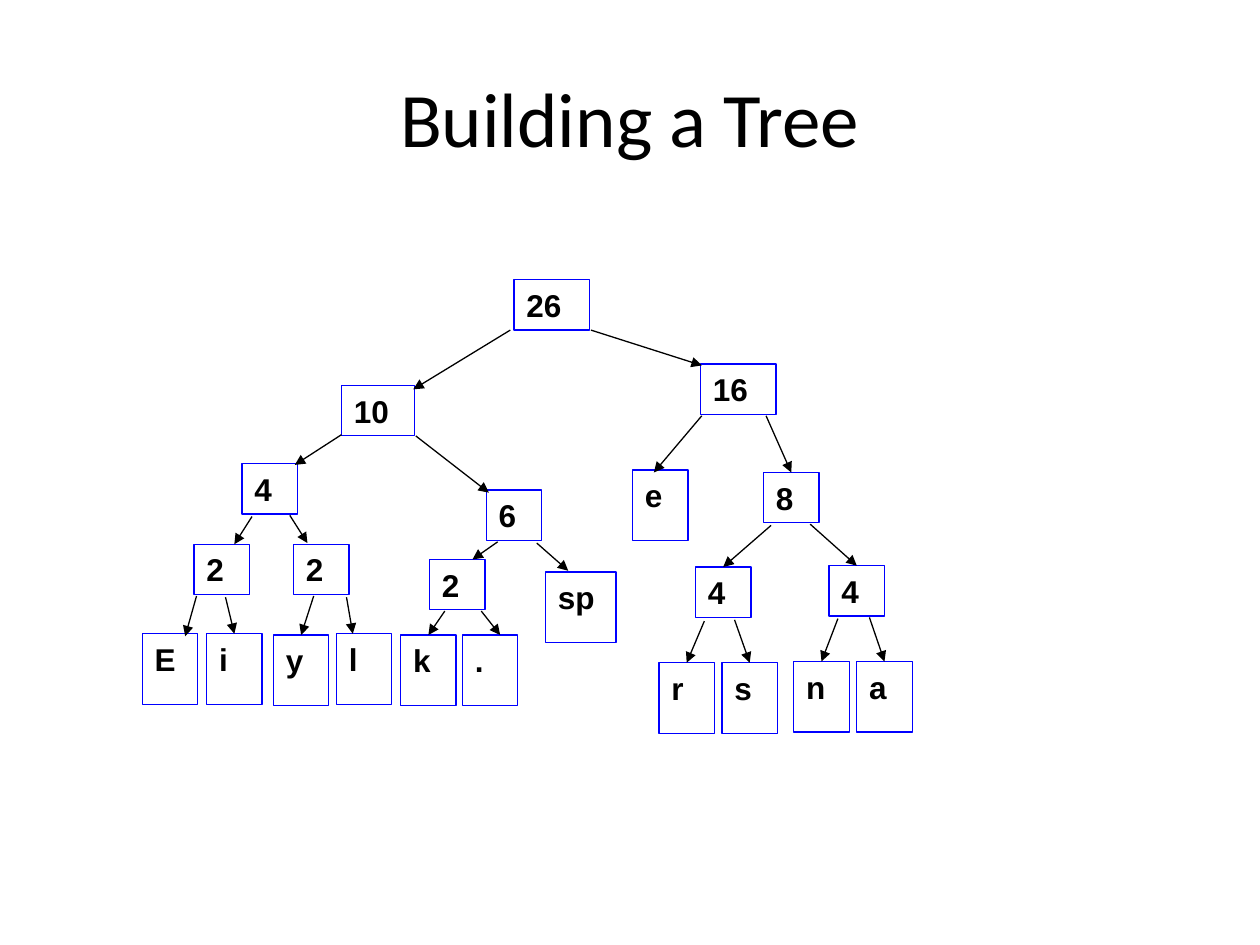
from lxml.etree import SubElement
from pptx import Presentation
from pptx.dml.color import RGBColor
from pptx.enum.shapes import MSO_CONNECTOR, MSO_SHAPE
from pptx.enum.text import MSO_ANCHOR, PP_ALIGN
from pptx.oxml.ns import qn
from pptx.util import Inches, Pt

TITLE_ONLY = 5
TOP_SIDE = 0
COUNT_HEIGHT, LETTER_HEIGHT = 0.4, 0.56
NARROW = 0.44

# Root node: text, left, top, width, height
ROOT = ("26", 4.08, 2.22, 0.6, COUNT_HEIGHT)

# Each child: text, left, top, width, arrow start, arrow end
# (an arrow without an end joins the middle of the child's top side)
COUNTS = [
    ("10", 2.71, 3.06, 0.58, (4.05, 2.62), (3.28, 3.09)),
    ("16", 5.56, 2.89, 0.6, (4.69, 2.62), (5.57, 2.9)),
    ("4", 1.92, 3.68, NARROW, (2.71, 3.45), (2.34, 3.69)),
    ("6", 3.86, 3.89, NARROW, (3.3, 3.46), (3.88, 3.91)),
    ("8", 6.06, 3.75, NARROW, (6.08, 3.3), None),
    ("2", 1.54, 4.32, NARROW, (2, 4.1), (1.86, 4.32)),
    ("2", 2.33, 4.32, NARROW, (2.3, 4.09), (2.44, 4.31)),
    ("2", 3.41, 4.44, NARROW, (3.95, 4.3), (3.75, 4.44)),
    ("4", 5.52, 4.5, NARROW, (6.12, 4.17), None),
    ("4", 6.58, 4.49, NARROW, (6.43, 4.16), None),
]
LETTERS = [
    ("E", 1.13, 5.03, NARROW, (1.56, 4.73), (1.47, 5.05)),
    ("i", 1.64, 5.03, NARROW, (1.79, 4.74), None),
    ("y", 2.17, 5.04, NARROW, (2.49, 4.73), None),
    ("l", 2.67, 5.03, NARROW, (2.75, 4.74), (2.8, 5.03)),
    ("k", 3.18, 5.04, NARROW, (3.53, 4.85), None),
    (".", 3.67, 5.04, NARROW, (3.82, 4.85), (3.97, 5.04)),
    ("sp", 4.33, 4.54, 0.56, (4.26, 4.31), (4.51, 4.53)),
    ("e", 5.02, 3.73, NARROW, (5.57, 3.3), (5.19, 3.75)),
    ("r", 5.23, 5.26, NARROW, (5.59, 4.93), None),
    ("s", 5.73, 5.26, NARROW, (5.83, 4.92), None),
    ("n", 6.3, 5.25, NARROW, (6.65, 4.91), None),
    ("a", 6.8, 5.25, NARROW, (6.9, 4.9), None),
]


def color(hex_value):
    return RGBColor.from_string(hex_value)


def set_formats(target, formats):
    for name, value in formats.items():
        setattr(target, name, value)


class TreeSlide:
    ink, border = "000000", "0000FF"
    line_width = Pt(0.75)
    title_font = {"name": "Calibri", "size": Pt(44)}
    node_font = {"name": "Arial", "size": Pt(18), "bold": True}
    node_frame = {"word_wrap": True, "vertical_anchor": MSO_ANCHOR.TOP}

    def __init__(self, slide):
        self.slide = slide

    def put_text(self, frame, text, font, alignment):
        frame.text = text
        paragraph = frame.paragraphs[0]
        paragraph.alignment = alignment
        set_formats(paragraph.font, font)
        paragraph.font.color.rgb = color(self.ink)

    def draw_line(self, line, hex_value):
        line.color.rgb = color(hex_value)
        line.width = self.line_width

    def title(self, text):
        heading = self.slide.shapes.title
        set_formats(heading, {"left": Inches(0.5), "top": Inches(0.3),
                              "width": Inches(9), "height": Inches(1.25)})
        heading.text_frame.vertical_anchor = MSO_ANCHOR.MIDDLE
        self.put_text(heading.text_frame, text, self.title_font, PP_ALIGN.CENTER)

    def node(self, text, *box):
        node = self.slide.shapes.add_shape(MSO_SHAPE.RECTANGLE, *map(Inches, box))
        node.shadow.inherit = False
        node.fill.background()
        self.draw_line(node.line, self.border)
        set_formats(node.text_frame, self.node_frame)
        self.put_text(node.text_frame, text, self.node_font, PP_ALIGN.LEFT)
        return node

    def arrow(self, start, end, child):
        target = end or start
        arrow = self.slide.shapes.add_connector(
            MSO_CONNECTOR.STRAIGHT, *map(Inches, start + target))
        if end is None:
            arrow.end_connect(child, TOP_SIDE)
        self.draw_line(arrow.line, self.ink)
        properties = arrow._element.spPr
        SubElement(properties.find(qn("a:ln")), qn("a:tailEnd"), type="triangle")
        SubElement(properties, qn("a:effectLst"))

    def branch(self, text, left, top, width, start, end, height):
        child = self.node(text, left, top, width, height)
        self.arrow(start, end, child)


def main():
    deck = Presentation()
    deck.slide_width, deck.slide_height = Inches(10), Inches(7.5)
    tree = TreeSlide(deck.slides.add_slide(deck.slide_layouts[TITLE_ONLY]))
    tree.title("Building a Tree")

    # Root, inner counts, then the letters at the leaves
    tree.node(*ROOT)
    for children, height in ((COUNTS, COUNT_HEIGHT), (LETTERS, LETTER_HEIGHT)):
        for child in children:
            tree.branch(*child, height)

    deck.save("out.pptx")


if __name__ == "__main__":
    main()
